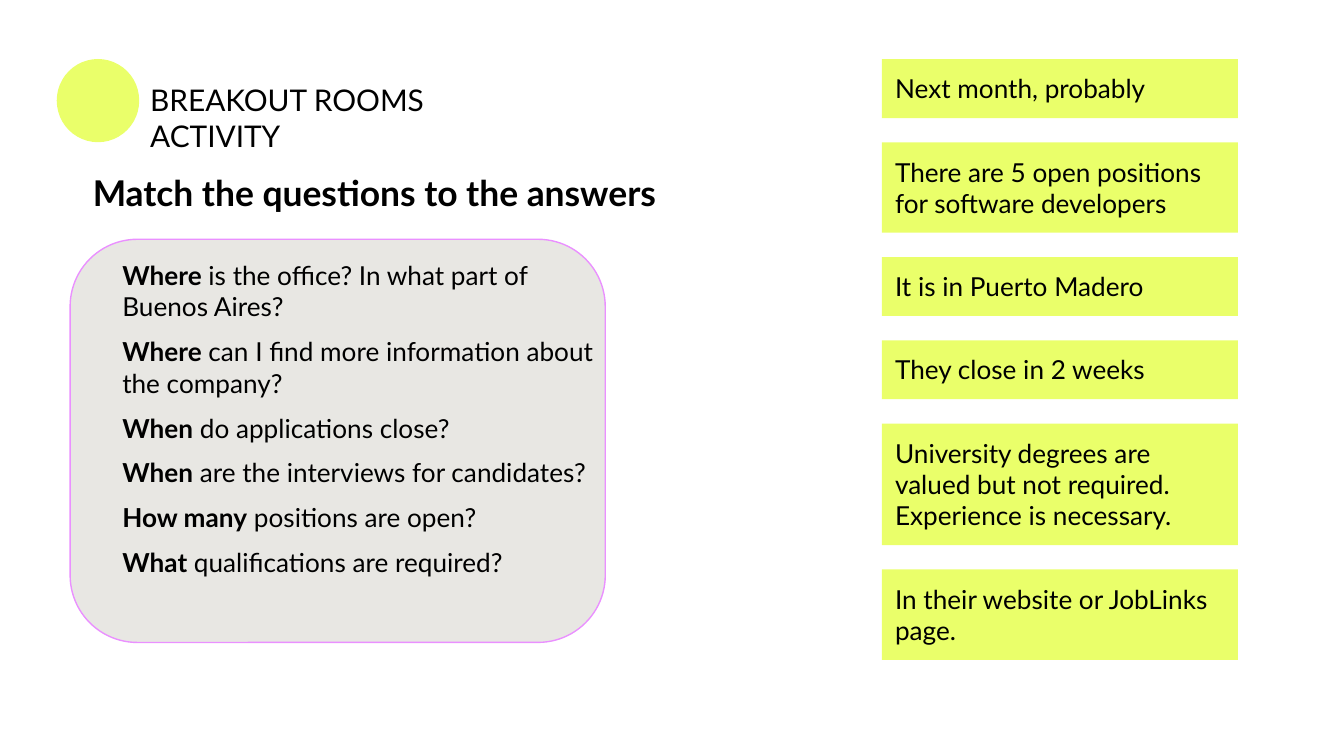
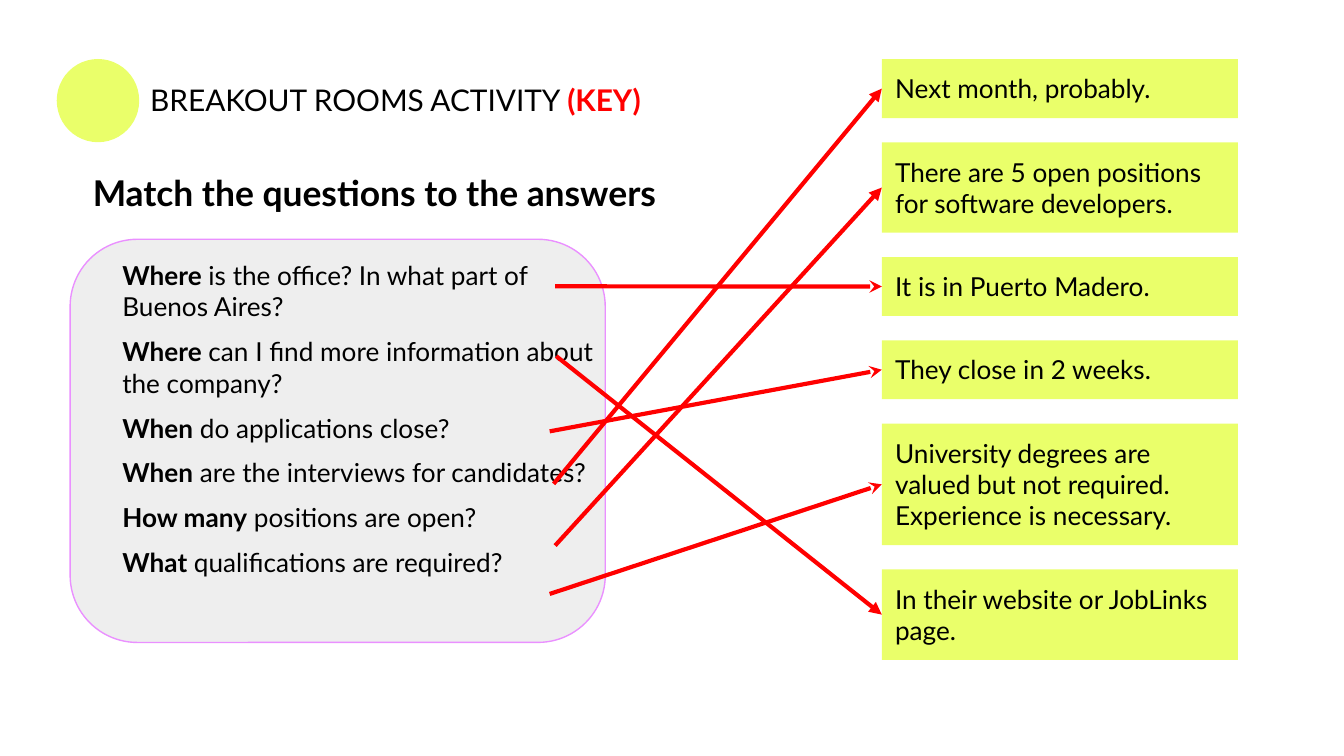
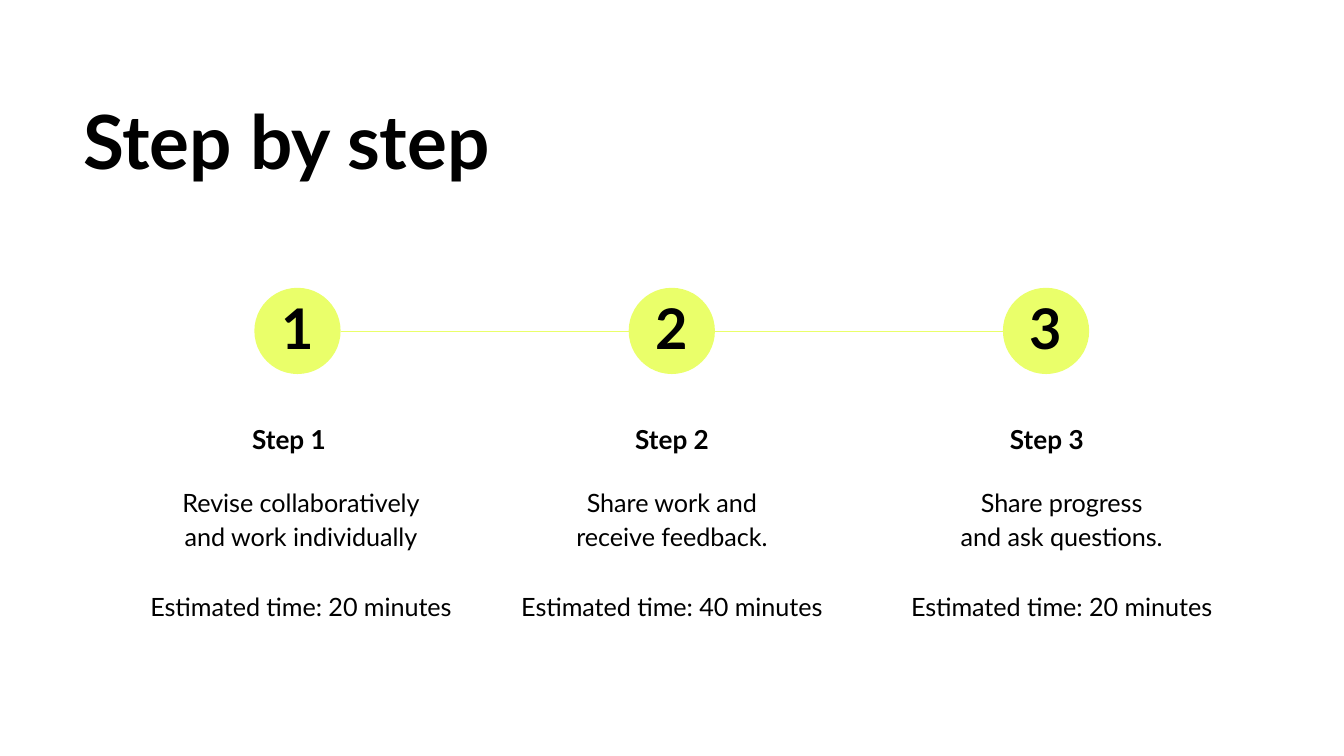
from lxml import etree
from pptx import Presentation
from pptx import util as u
from pptx.dml.color import RGBColor
from pptx.enum import shapes, text
from pptx.oxml.ns import qn

COLORS = {
    "black": "000000", "lime": "EAFF6A", "pink": "EA90FF", "red": "FF0000",
    "warm grey": "E8E7E3", "cool grey": "EEEEEE",
}
LEFT, CENTER = text.PP_ALIGN.LEFT, text.PP_ALIGN.CENTER
LINE_HEIGHT = 16.8  # one line of 14 pt text

QUESTIONS = [
    ("Where", " is the office? In what part of Buenos Aires?"),
    ("Where", " can I find more information about the company?"),
    ("When", " do applications close?"),
    ("When", " are the interviews for candidates?"),
    ("How many", " positions are open?"),
    ("What", " qualifications are required?"),
]
# answer, number of lines, whether the full stop appears only in the key
ANSWERS = [
    ("Next month, probably", 1, True),
    ("There are 5 open positions for software developers", 2, True),
    ("It is in Puerto Madero", 1, True),
    ("They close in 2 weeks", 1, True),
    ("University degrees are valued but not required. Experience is necessary.", 3, False),
    ("In their website or JobLinks page.", 2, False),
]
# start of each arrow, index of its answer, arrowhead
MATCHES = [
    (297.4, 153.4, 2, "stealth"),
    (298, 190.8, 5, "triangle"),
    (294.5, 231.1, 3, "stealth"),
    (296.6, 259.2, 0, "triangle"),
    (297.4, 292.3, 1, "triangle"),
    (294.5, 318.2, 4, "stealth"),
]
# heading left, description left, description lines, minutes
STEPS = [
    (77.8, 67, ["Revise collaboratively", "and work individually"], 20),
    (283, 265.7, ["Share work and", "receive feedback."], 40),
    (483.8, 474.5, ["Share progress", "and ask questions."], 20),
]


def place(shape, left, top, width, height, fill=None):
    """Position a shape or placeholder; a fill also clears its outline and shadow."""
    shape.left, shape.top = u.Pt(left), u.Pt(top)
    shape.width, shape.height = u.Pt(width), u.Pt(height)
    if fill:
        shape.fill.solid()
        shape.fill.fore_color.rgb = RGBColor.from_string(COLORS[fill])
        shape.line.fill.background()
        shape.shadow.inherit = False
    return shape


def write(shape, lines, size, bold=None, align=LEFT, spacing=1.0, gap=0,
          anchor=text.MSO_ANCHOR.TOP, margin=7.2):
    """Write one paragraph per line; each line is a string or a tuple of runs."""
    frame = shape.text_frame
    frame.word_wrap, frame.auto_size = True, text.MSO_AUTO_SIZE.NONE
    frame.vertical_anchor = anchor
    frame.margin_left = frame.margin_right = u.Pt(margin)
    frame.margin_top = frame.margin_bottom = u.Pt(margin)
    for number, line in enumerate(lines):
        paragraph = frame.add_paragraph() if number else frame.paragraphs[0]
        properties = paragraph._p.get_or_add_pPr()
        properties.set("marL", "0")
        properties.set("indent", "0")
        etree.SubElement(properties, qn("a:buNone"))
        for part in [line] if isinstance(line, str) else line:
            paragraph.add_run().text = part
        paragraph.alignment, paragraph.line_spacing = align, spacing
        paragraph.space_before = u.Pt(gap if number else 0)
        font = paragraph.font
        font.name, font.size, font.bold = "Lato", u.Pt(size), bold
        font.color.rgb = RGBColor.from_string(COLORS["black"])
    return frame.paragraphs


presentation = Presentation()
presentation.slide_width, presentation.slide_height = u.Pt(720), u.Pt(405)

# Matching activity, then its key
for is_key, panel_fill, heading_width in [(False, "warm grey", 229.7), (True, "cool grey", 277.2)]:
    slide = presentation.slides.add_slide(presentation.slide_layouts[1])
    title, body = slide.placeholders

    panel = slide.shapes.add_shape(shapes.MSO_SHAPE.ROUNDED_RECTANGLE, 0, 0, 0, 0)
    place(panel, 37.6, 128.2, 286.7, 216, panel_fill)
    panel.line.color.rgb = RGBColor.from_string(COLORS["pink"])
    panel.line.width = u.Pt(0.75)
    title._element.addprevious(panel._element)

    place(title, 42.5, 87.1, 385.2, 35.3)
    write(title, ["Match the questions to the answers"], 19, bold=True, spacing=0.9)
    place(body, 58.3, 131.8, 270.7, 203.8)
    for paragraph in write(body, QUESTIONS, 14, gap=7.2):
        paragraph.runs[0].font.bold = True

    heading = slide.shapes.add_textbox(0, 0, 0, 0)
    place(heading, 73.4, 36.7, heading_width, 33.8)
    heading_runs = ("BREAKOUT ROOMS ACTIVITY ", "(KEY)") if is_key else "BREAKOUT ROOMS ACTIVITY"
    heading_paragraph = write(heading, [heading_runs], 16)[0]
    if is_key:
        key_font = heading_paragraph.runs[1].font
        key_font.bold = True
        key_font.color.rgb = RGBColor.from_string(COLORS["red"])
    dot = slide.shapes.add_shape(shapes.MSO_SHAPE.OVAL, 0, 0, 0, 0)
    place(dot, 30.4, 31.6, 44.2, 44.6, "lime")

    answer_boxes = []
    top = 31.7
    for answer, line_count, stop_in_key in ANSWERS:
        height = 14.8 + LINE_HEIGHT * line_count
        box = slide.shapes.add_shape(shapes.MSO_SHAPE.RECTANGLE, 0, 0, 0, 0)
        place(box, 472.4, top, 190.8, height, "lime")
        write(box, [answer + "." if is_key and stop_in_key else answer], 14)
        answer_boxes.append(box)
        top += height + 13

    for left, top, answer_index, head in MATCHES if is_key else []:
        box = answer_boxes[answer_index]
        arrow = slide.shapes.add_connector(
            shapes.MSO_CONNECTOR.STRAIGHT, u.Pt(left), u.Pt(top),
            box.left, box.top + box.height // 2)
        arrow.end_connect(box, 1)
        arrow.line.color.rgb = RGBColor.from_string(COLORS["red"])
        arrow.line.width = u.Pt(2.25)
        etree.SubElement(arrow.line._get_or_add_ln(), qn("a:tailEnd"), type=head)
        etree.SubElement(arrow._element.spPr, qn("a:effectLst"))

# Step by step
slide = presentation.slides.add_slide(presentation.slide_layouts[5])
title = place(slide.shapes.title, 37.4, 49, 640.8, 58.3)
write(title, ["Step by step"], 40, bold=True, spacing=0.9)

CIRCLE_SIZE, CIRCLE_STEP = 46.2, 200.5
for index, (heading_left, description_left, description, minutes) in enumerate(STEPS):
    circle_left = 136.3 + index * CIRCLE_STEP
    circle = slide.shapes.add_shape(shapes.MSO_SHAPE.OVAL, 0, 0, 0, 0)
    place(circle, circle_left, 154.2, CIRCLE_SIZE, CIRCLE_SIZE, "lime")
    write(circle, [str(index + 1)], 30, bold=True, align=CENTER, spacing=0.9,
          anchor=text.MSO_ANCHOR.MIDDLE, margin=0)
    if index:
        link = slide.shapes.add_connector(
            shapes.MSO_CONNECTOR.STRAIGHT,
            u.Pt(circle_left - CIRCLE_STEP + CIRCLE_SIZE), u.Pt(177.6),
            u.Pt(circle_left), u.Pt(177.6))
        link.line.color.rgb = RGBColor.from_string(COLORS["lime"])
        link.line.width = u.Pt(0.75)
        etree.SubElement(link._element.spPr, qn("a:effectLst"))

    heading = place(slide.shapes.add_textbox(0, 0, 0, 0), heading_left, 217.4, 154.1, 31.7)
    write(heading, [f"Step {index + 1}"], 14, bold=True, align=CENTER, spacing=1.15)
    details = place(slide.shapes.add_textbox(0, 0, 0, 0), description_left, 251.3, 188.6, 87.1)
    paragraphs = write(details, description + [f"Estimated time: {minutes} minutes"], 13.5,
                       align=CENTER, spacing=1.15)
    paragraphs[-1].space_before = u.Pt(18.6)

presentation.save("out.pptx")
